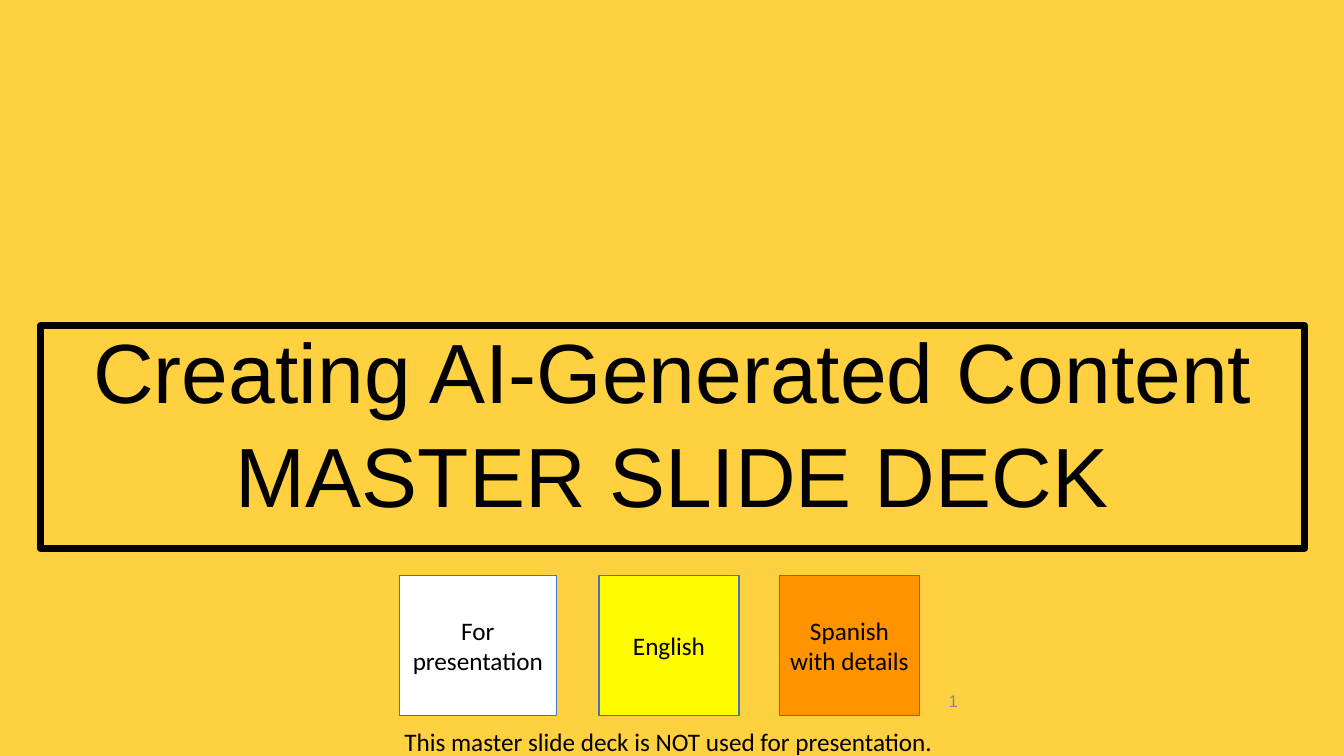
from dataclasses import dataclass

from lxml.etree import SubElement
from pptx import Presentation
from pptx.dml.color import RGBColor
from pptx.enum.shapes import MSO_SHAPE
from pptx.enum.text import MSO_ANCHOR, PP_ALIGN
from pptx.oxml.ns import qn
from pptx.util import Inches, Pt


@dataclass(frozen=True)
class Theme:
    background: str = "FFD040"
    ink: str = "000000"
    muted: str = "888888"
    outline: str = "4472C4"
    white: str = "FFFFFF"
    yellow: str = "FFFB00"
    orange: str = "FF9300"
    title_font: str = "Arial"
    label_font: str = "Calibri"
    title_size: int = 60
    label_size: int = 18
    number_size: int = 12


THEME = Theme()
LABEL = {"name": THEME.label_font, "size": Pt(THEME.label_size)}
TITLE = {"name": THEME.title_font, "size": Pt(THEME.title_size)}
NUMBER = {"name": THEME.title_font, "size": Pt(THEME.number_size)}


def apply(target, values):
    for name, value in values.items():
        setattr(target, name, value)


def write(box, lines, font, color=THEME.ink, anchor=MSO_ANCHOR.TOP, wrap=True, **layout):
    """Fill a shape with one paragraph per line; layout holds paragraph settings."""
    frame = box.text_frame
    margins = {f"margin_{side}": Inches(0.05) for side in ("left", "right", "top", "bottom")}
    apply(frame, {**margins, "word_wrap": wrap, "vertical_anchor": anchor})
    frame.text = "\n".join(lines)
    for para in frame.paragraphs:
        apply(para, layout)
        for span in para.runs:
            apply(span.font, font)
            span.font.color.rgb = RGBColor.from_string(color)


def add_box(page, left, top, width, height, line, weight, fill=None):
    box = page.shapes.add_shape(MSO_SHAPE.RECTANGLE, *map(Inches, (left, top, width, height)))
    box.shadow.inherit = False
    if fill:
        box.fill.solid()
        box.fill.fore_color.rgb = RGBColor.from_string(fill)
    else:
        box.fill.background()
    box.line.color.rgb = RGBColor.from_string(line)
    box.line.width = Pt(weight)
    return box


def add_title(page, left, top, width, height):
    box = add_box(page, left, top, width, height, THEME.ink, 5)
    SubElement(box.line._get_or_add_ln(), qn("a:round"))
    write(box, ["Creating AI-Generated Content", "MASTER SLIDE DECK"], TITLE,
          alignment=PP_ALIGN.CENTER, line_spacing=0.9, space_before=Pt(10))


def add_legend(page, left, top, height):
    """Draw the colour key; each entry has an offset from the left and a width."""
    entries = [
        ("For presentation", THEME.white, 0, 1.56),
        ("English", THEME.yellow, 1.98, height),
        ("Spanish with details", THEME.orange, 3.77, height),
    ]
    for label, fill, offset, width in entries:
        box = add_box(page, left + offset, top, width, height, THEME.outline, 1, fill)
        write(box, [label], LABEL, anchor=MSO_ANCHOR.MIDDLE, alignment=PP_ALIGN.CENTER)


def add_note(page, left, top, width, height):
    box = page.shapes.add_textbox(*map(Inches, (left, top, width, height)))
    write(box, ["This master slide deck is NOT used for presentation."], LABEL, wrap=False)


def add_page_number(page, left, top, width, height):
    box = page.shapes.add_textbox(*map(Inches, (left, top, width, height)))
    write(box, ["1"], NUMBER, THEME.muted, MSO_ANCHOR.MIDDLE, alignment=PP_ALIGN.RIGHT)


def main():
    deck = Presentation()
    apply(deck, {"slide_width": Inches(13.33), "slide_height": Inches(7.5)})
    page = deck.slides.add_slide(deck.slide_layouts[6])
    page.background.fill.solid()
    page.background.fill.fore_color.rgb = RGBColor.from_string(THEME.background)
    add_title(page, 0.4, 3.23, 12.54, 2.21)
    add_page_number(page, 6.44, 6.75, 3.11, 0.4)
    add_legend(page, 3.96, 5.71, 1.39)
    add_note(page, 3.96, 7.16, 5.41, 0.36)
    deck.save("out.pptx")


if __name__ == "__main__":
    main()
